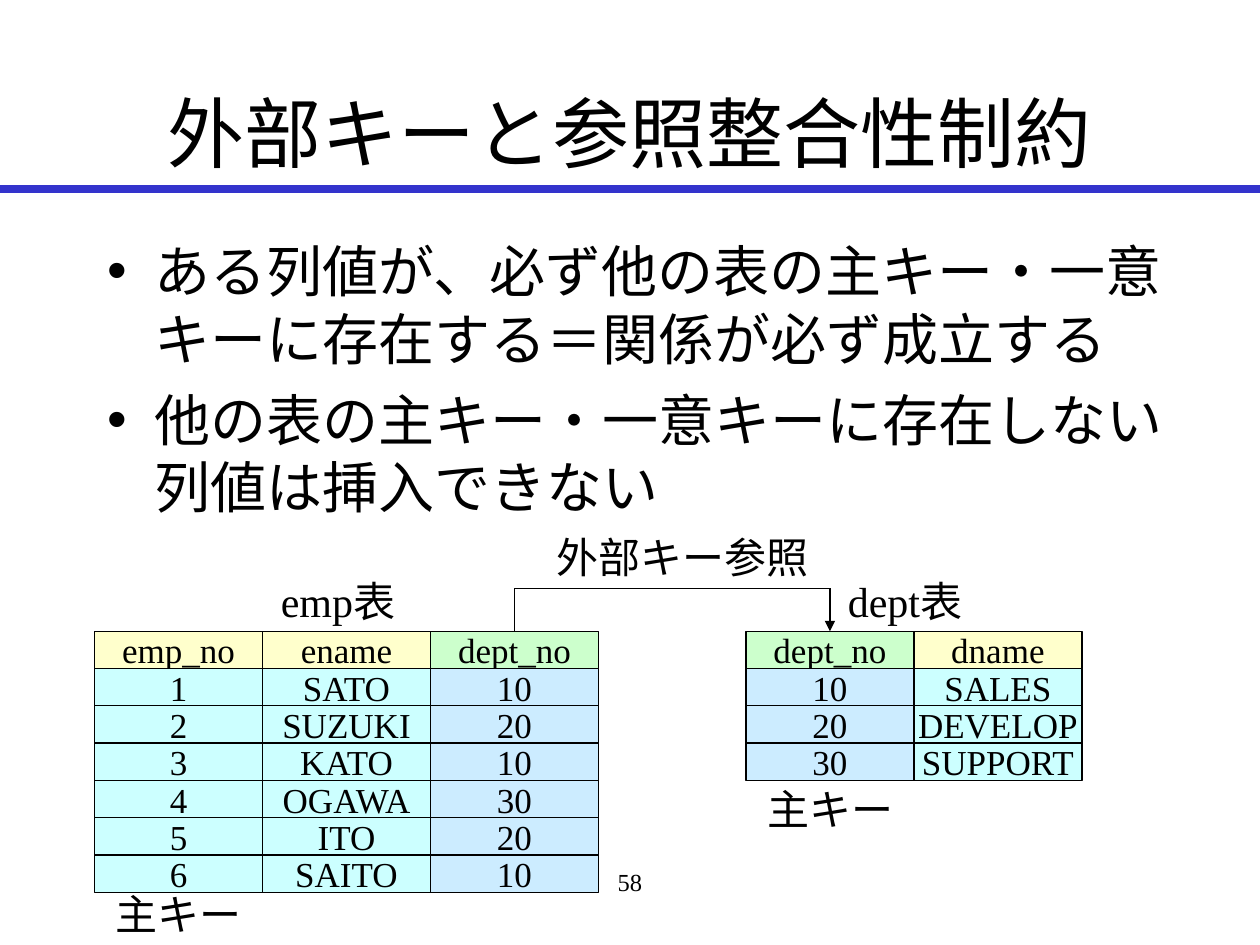
import pptx
import pptx.dml.color
import pptx.enum.shapes
import pptx.enum.text
import pptx.oxml
import pptx.oxml.ns
import pptx.util
from pptx.util import Inches

FONT = "Times New Roman"
COLORS = {
    "text": "000000",
    "rule": "3333CC",
    "header": "FFFFCC",
    "key header": "CCFFCC",
    "cell": "CCFFFF",
    "key cell": "CCECFF",
}
COLUMN_WIDTH = 4 / 3
ROW_HEIGHT = 0.296
TABLE_TOP = 5.01
REFERENCE_TOP = 4.67


def write(para, text, size):
    """Add a run in the slide's font."""
    span = para.add_run()
    span.text = text
    span.font.size = pptx.util.Pt(size)
    span.font.name = FONT
    span.font.color.rgb = pptx.dml.color.RGBColor.from_string(COLORS["text"])


def draw_line(start, end, color, width):
    line = page.shapes.add_connector(
        pptx.enum.shapes.MSO_CONNECTOR.STRAIGHT,
        *(Inches(value) for value in start + end))
    line.line.color.rgb = pptx.dml.color.RGBColor.from_string(COLORS[color])
    line.line.width = pptx.util.Pt(width)
    line._element.spPr.append(pptx.oxml.parse_xml(
        f'<a:effectLst {pptx.oxml.ns.nsdecls("a")}/>'))
    return line


deck = pptx.Presentation()
deck.slide_width, deck.slide_height = Inches(10), Inches(7.5)
page = deck.slides.add_slide(deck.slide_layouts[1])

draw_line((0, 1.5), (10, 1.5), "rule", 5)

# Title and bullets
title, body = page.shapes.title, page.placeholders[1]
for holder, top, height in ((title, 0.42, 1.25), (body, 1.83, 4.92)):
    holder.left, holder.top = Inches(0.75), Inches(top)
    holder.width, holder.height = Inches(8.5), Inches(height)
    holder.text_frame.auto_size = pptx.enum.text.MSO_AUTO_SIZE.NONE

title.text_frame.vertical_anchor = pptx.enum.text.MSO_ANCHOR.MIDDLE
title.text_frame.paragraphs[0].alignment = pptx.enum.text.PP_ALIGN.CENTER
write(title.text_frame.paragraphs[0], "外部キーと参照整合性制約", 44)

body.text_frame.margin_right = 0
bullets = [
    "ある列値が、必ず他の表の主キー・一意キーに存在する＝関係が必ず成立する",
    "他の表の主キー・一意キーに存在しない列値は挿入できない",
]
for index, bullet in enumerate(bullets):
    para = body.text_frame.add_paragraph() if index else body.text_frame.paragraphs[0]
    para.space_before = pptx.util.Pt(8)
    write(para, bullet, 32)

# Grids of boxes: left edge, index of the linked column, rows
grids = [
    (0.75, 2, [
        ("emp_no", "ename", "dept_no"),
        ("1", "SATO", "10"),
        ("2", "SUZUKI", "20"),
        ("3", "KATO", "10"),
        ("4", "OGAWA", "30"),
        ("5", "ITO", "20"),
        ("6", "SAITO", "10"),
    ]),
    (5.92, 0, [
        ("dept_no", "dname"),
        ("10", "SALES"),
        ("20", "DEVELOP"),
        ("30", "SUPPORT"),
    ]),
]
key_headers = []
key_centers = []
for left, key_column, rows in grids:
    key_centers.append(left + (key_column + 0.5) * COLUMN_WIDTH)
    for row_index, row in enumerate(rows):
        for column_index, value in enumerate(row):
            cell = page.shapes.add_shape(
                pptx.enum.shapes.MSO_SHAPE.RECTANGLE,
                Inches(left + column_index * COLUMN_WIDTH),
                Inches(TABLE_TOP + row_index * ROW_HEIGHT),
                Inches(COLUMN_WIDTH), Inches(ROW_HEIGHT))
            color = "cell" if row_index else "header"
            if column_index == key_column:
                color = "key " + color
            if color == "key header":
                key_headers.append(cell)
            cell.shadow.inherit = False
            cell.fill.solid()
            cell.fill.fore_color.rgb = pptx.dml.color.RGBColor.from_string(COLORS[color])
            cell.line.color.rgb = pptx.dml.color.RGBColor.from_string(COLORS["text"])
            cell.line.width = pptx.util.Pt(0.75)
            cell.text_frame.word_wrap = False
            cell.text_frame.vertical_anchor = pptx.enum.text.MSO_ANCHOR.MIDDLE
            para = cell.text_frame.paragraphs[0]
            para.alignment = pptx.enum.text.PP_ALIGN.CENTER
            write(para, value, 20)

# Foreign key reference between the two dept_no columns
for center, header in zip(key_centers, key_headers):
    drop = draw_line((center, REFERENCE_TOP), (center, TABLE_TOP), "text", 0.75)
    drop.end_connect(header, 0)
drop.line._get_or_add_ln().append(pptx.oxml.parse_xml(
    f'<a:tailEnd {pptx.oxml.ns.nsdecls("a")} type="triangle"/>'))
draw_line((key_centers[0], REFERENCE_TOP), (key_centers[1], REFERENCE_TOP), "text", 0.75)

# Labels and page number
labels = [
    ("emp表", 2.13, 4.52, 1.19),
    ("dept表", 6.63, 4.52, 1.19),
    ("外部キー参照", 4.32, 4.17, 2.2),
    ("主キー", 5.99, 6.17, 1.2),
    ("主キー", 0.82, 7, 1.2),
]
for text, left, top, width in labels:
    box = page.shapes.add_textbox(Inches(left), Inches(top), Inches(width), Inches(0.5))
    box.text_frame.word_wrap = False
    write(box.text_frame.paragraphs[0], text, 24)

number = page.shapes.add_textbox(Inches(0.75), Inches(6.83), Inches(8.5), Inches(0.5))
number.text_frame.word_wrap = True
number.text_frame.paragraphs[0].alignment = pptx.enum.text.PP_ALIGN.CENTER
write(number.text_frame.paragraphs[0], "58", 14)

deck.save("out.pptx")
